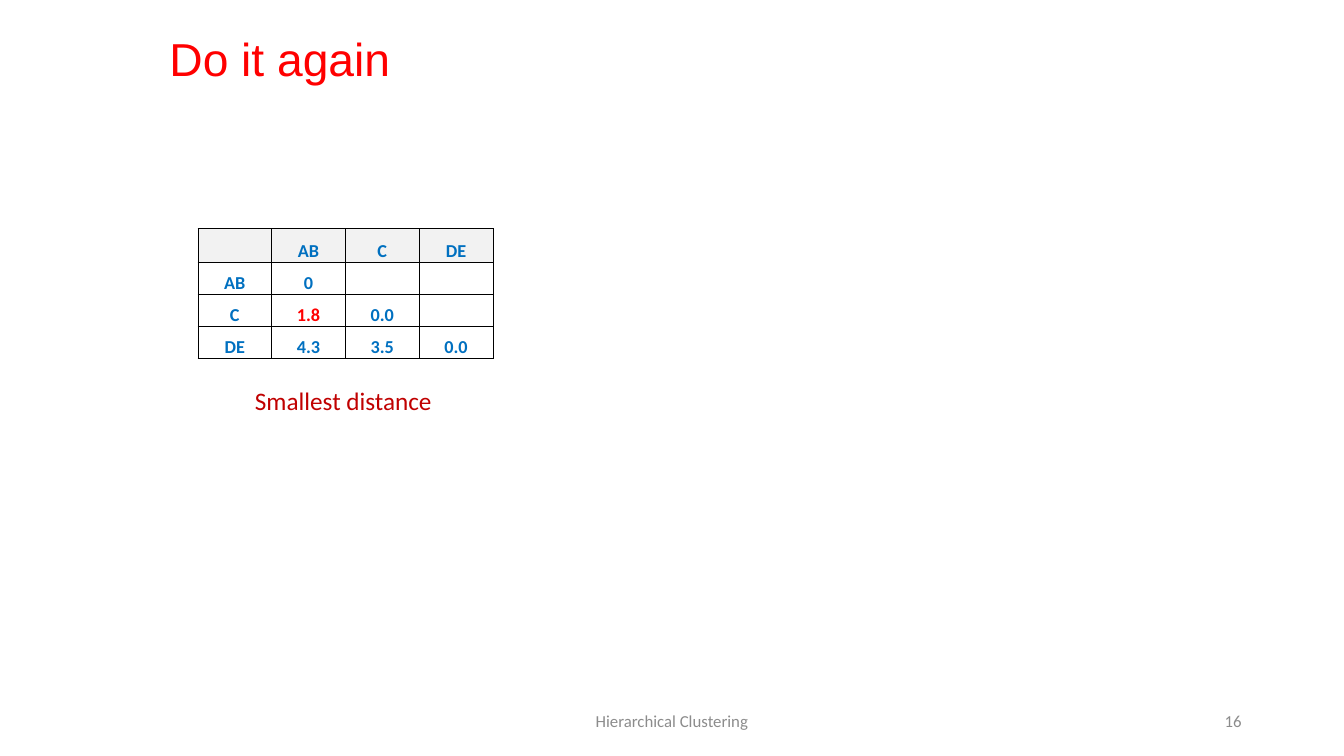
"""Build a slide with a cluster distance matrix and its smallest distance."""
from pptx import Presentation
from pptx.dml.color import RGBColor
from pptx.enum.text import MSO_ANCHOR, MSO_AUTO_SIZE, PP_ALIGN
from pptx.oxml import parse_xml
from pptx.oxml.ns import nsdecls
from pptx.util import Pt

TITLE = "Do it again"
MATRIX = [
    ["", "AB", "C", "DE"],
    ["AB", "0", "", ""],
    ["C", "1.8", "0.0", ""],
    ["DE", "4.3", "3.5", "0.0"],
]
SMALLEST = "1.8"
BLUE, RED, DARK_RED, GREY, HEADER = "0070C0", "FF0000", "C00000", "8C8C8C", "F2F2F2"
TITLE_BOX = (113.8, 22.3, 828, 74.9)
TABLE_LEFT, TABLE_TOP, COL_W = 141.3, 163.2, 52.7
HEADER_H, ROW_H = 24.2, 22.85
LABELS = [
    ("Hierarchical Clustering", (318, 500.5, 324, 28.75), 12, GREY, PP_ALIGN.CENTER, MSO_ANCHOR.MIDDLE),
    ("16", (678, 500.5, 216, 28.75), 12, GREY, PP_ALIGN.RIGHT, MSO_ANCHOR.MIDDLE),
    ("Smallest distance", (175, 271.5, 304.5, 29.1), 18, DARK_RED, PP_ALIGN.LEFT, MSO_ANCHOR.TOP),
]
CELL_FORMAT = {"margin_left": Pt(0.7), "margin_right": Pt(0.7), "margin_top": Pt(0.7),
               "margin_bottom": 0, "vertical_anchor": MSO_ANCHOR.BOTTOM}


def rgb(color):
    return RGBColor.from_string(color)


def apply(obj, formats):
    for name, value in formats.items():
        setattr(obj, name, value)


def write(tf, text, size, color, align, font="Calibri", bold=False):
    p = tf.paragraphs[0]
    p.alignment = align
    if text:
        r = p.add_run()
        r.text = text
        apply(r.font, {"name": font, "size": Pt(size), "bold": bold})
        r.font.color.rgb = rgb(color)
    return p


def add_borders(cell):
    tcPr = cell._tc.get_or_add_tcPr()
    for side in "LRTB":
        tcPr.append(parse_xml(
            f'<a:ln{side} {nsdecls("a")} w="{Pt(0.5)}"><a:solidFill>'
            f'<a:srgbClr val="000000"/></a:solidFill></a:ln{side}>'))


def add_title(s):
    sp = s.shapes.title
    apply(sp, dict(zip(("left", "top", "width", "height"), map(Pt, TITLE_BOX))))
    tf = sp.text_frame
    apply(tf, {"word_wrap": True, "auto_size": MSO_AUTO_SIZE.NONE, "vertical_anchor": MSO_ANCHOR.TOP})
    p = write(tf, TITLE, 33, RED, PP_ALIGN.LEFT, "Arial")
    p.line_spacing = 0.9


def add_matrix(s):
    n_rows, n_cols = len(MATRIX), len(MATRIX[0])
    height = HEADER_H + ROW_H * (n_rows - 1)
    table = s.shapes.add_table(n_rows, n_cols, Pt(TABLE_LEFT), Pt(TABLE_TOP),
                               Pt(COL_W * n_cols), Pt(height)).table
    apply(table, {"first_row": False, "horz_banding": False})
    for col in table.columns:
        col.width = Pt(COL_W)
    for i, values in enumerate(MATRIX):
        table.rows[i].height = Pt(ROW_H if i else HEADER_H)
        for j, value in enumerate(values):
            cell = table.cell(i, j)
            apply(cell, CELL_FORMAT)
            add_borders(cell)
            if i:
                cell.fill.background()
            else:
                cell.fill.solid()
                cell.fill.fore_color.rgb = rgb(HEADER)
            color = RED if value == SMALLEST else BLUE
            write(cell.text_frame, value, 13, color, PP_ALIGN.CENTER, bold=True)


def add_labels(s):
    for text, box, size, color, align, anchor in LABELS:
        tf = s.shapes.add_textbox(*map(Pt, box)).text_frame
        apply(tf, {"word_wrap": True, "vertical_anchor": anchor})
        write(tf, text, size, color, align)


def main():
    prs = Presentation()
    apply(prs, {"slide_width": Pt(960), "slide_height": Pt(540)})
    s = prs.slides.add_slide(prs.slide_layouts[5])
    add_title(s)
    add_matrix(s)
    add_labels(s)
    prs.save("out.pptx")


if __name__ == "__main__":
    main()
